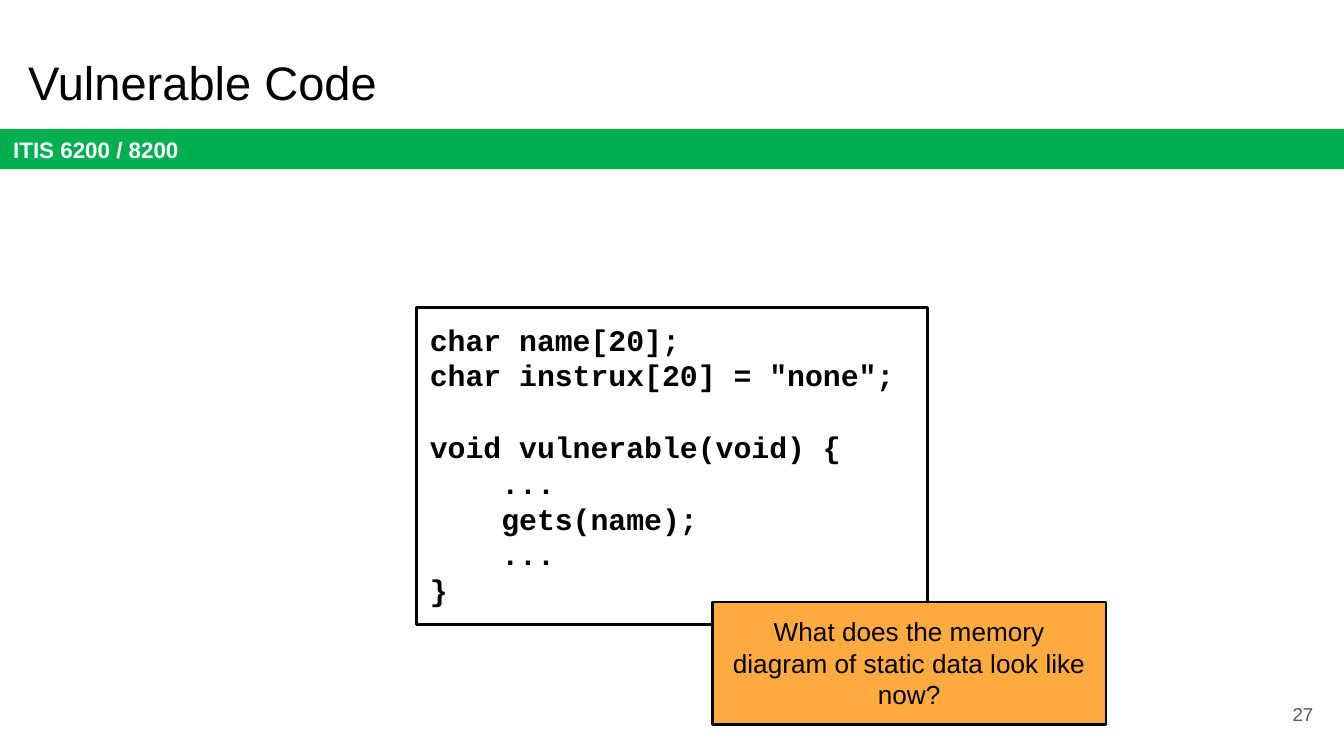
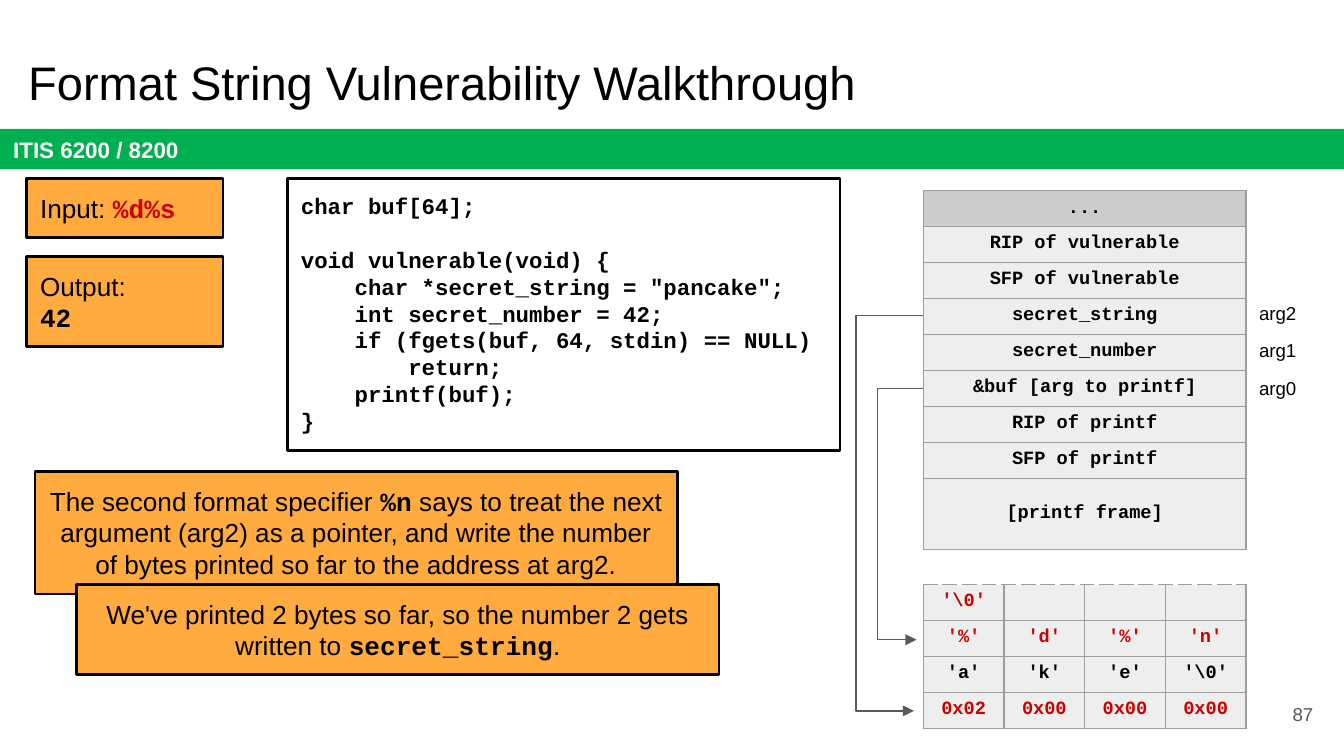
from dataclasses import dataclass
from typing import NamedTuple, Optional

import pptx
import pptx.dml.color
import pptx.enum.shapes
import pptx.enum.text
import pptx.oxml.ns
import pptx.util
from lxml import etree

Inches = pptx.util.Inches
ALIGN = pptx.enum.text.PP_ALIGN
ANCHOR = pptx.enum.text.MSO_ANCHOR
SIZING = pptx.enum.text.MSO_AUTO_SIZE
RECT = pptx.enum.shapes.MSO_SHAPE.RECTANGLE
qn = pptx.oxml.ns.qn

BLACK, WHITE, GREEN, ORANGE = "000000", "FFFFFF", "00B050", "FFAB40"
RED, GREY, RULE, CELL, DARK = "CC0000", "595959", "9E9E9E", "EEEEEE", "CCCCCC"
SANS, MONO = "Arial", "Courier New"
COL = 0.6
STACK_LEFT = 6.87


class Run(NamedTuple):
    text: str
    color: str = BLACK
    font: str = SANS
    bold: bool = False


@dataclass
class Box:
    at: tuple[float, float, float, float]
    lines: list[list[Run]]
    size: float = 14
    fill: Optional[str] = ORANGE
    line: Optional[str] = BLACK
    align: ALIGN = ALIGN.LEFT
    anchor: ANCHOR = ANCHOR.TOP
    grow: bool = True


@dataclass
class Grid:
    top: float
    height: float
    rows: list[list[Run]]
    units: list[int]
    dashed: bool = False


def rgb(code: str) -> pptx.dml.color.RGBColor:
    return pptx.dml.color.RGBColor.from_string(code)


def code(text: str, color: str = BLACK) -> Run:
    return Run(text, color, MONO, True)


def listing(text: str) -> list[list[Run]]:
    return [[code(row)] if row else [] for row in text.splitlines()]


def write(frame, lines: list[list[Run]], size: float, align: ALIGN) -> None:
    for i, runs in enumerate(lines):
        para = frame.add_paragraph() if i else frame.paragraphs[0]
        para.alignment = align
        for part in runs:
            run = para.add_run()
            run.text = part.text
            font = run.font
            font.size, font.name, font.bold = pptx.util.Pt(size), part.font, part.bold
            font.color.rgb = rgb(part.color)
        if not runs:
            end = etree.SubElement(para._p, qn("a:endParaRPr"), sz=str(size * 100))
            etree.SubElement(end, qn("a:latin"), typeface=MONO)


def inset(frame, anchor: ANCHOR, grow: bool) -> None:
    frame.word_wrap = True
    frame.auto_size = SIZING.SHAPE_TO_FIT_TEXT if grow else SIZING.NONE
    frame.vertical_anchor = anchor
    frame.margin_left = frame.margin_right = Inches(0.1)
    frame.margin_top = frame.margin_bottom = Inches(0.1)


def draw_box(slide, box: Box) -> None:
    place = [Inches(n) for n in box.at]
    if box.fill:
        shape = slide.shapes.add_shape(RECT, *place)
        shape.shadow.inherit = False
        shape.fill.solid()
        shape.fill.fore_color.rgb = rgb(box.fill)
        if box.line:
            shape.line.color.rgb = rgb(box.line)
            shape.line.width = pptx.util.Pt(1.5)
        else:
            shape.line.fill.background()
    else:
        shape = slide.shapes.add_textbox(*place)
    inset(shape.text_frame, box.anchor, box.grow)
    write(shape.text_frame, box.lines, box.size, box.align)


def rule_cell(cell, dashed: bool) -> None:
    """Add the four borders of a cell, with a dashed top if asked."""
    props = cell._tc.get_or_add_tcPr()
    for side in "LRTB":
        line = etree.SubElement(props, qn(f"a:ln{side}"), w=str(pptx.util.Pt(0.75)))
        fill = etree.SubElement(line, qn("a:solidFill"))
        etree.SubElement(fill, qn("a:srgbClr"), val=RULE)
        style = "dash" if dashed and side == "T" else "solid"
        etree.SubElement(line, qn("a:prstDash"), val=style)


def draw_grid(slide, grid: Grid) -> None:
    unit = Inches(grid.height) // sum(grid.units)
    table = slide.shapes.add_table(
        len(grid.rows), 4, Inches(STACK_LEFT), Inches(grid.top),
        Inches(4 * COL), Inches(grid.height)).table
    table.first_row = table.horz_banding = False
    for col in table.columns:
        col.width = Inches(COL)
    for r, (runs, units) in enumerate(zip(grid.rows, grid.units)):
        table.rows[r].height = unit * units
        if len(runs) == 1:
            table.cell(r, 0).merge(table.cell(r, 3))
        for c in range(4):
            cell = table.cell(r, c)
            rule_cell(cell, grid.dashed and r == 0)
            cell.fill.solid()
            top = len(runs) == 1 and r == 0
            cell.fill.fore_color.rgb = rgb(DARK if top else CELL)
            cell.margin_left = cell.margin_right = Inches(0.05)
            cell.margin_top = cell.margin_bottom = Inches(0.05)
            cell.vertical_anchor = ANCHOR.MIDDLE if units > 1 else ANCHOR.TOP
            text = [runs[c]] if c < len(runs) and runs[c].text else []
            write(cell.text_frame, [text], 10, ALIGN.CENTER)


def draw_link(slide, start: float, bend: float, stop: float, tip: float) -> None:
    """Run from the stack out to bend, down to stop, and back to tip."""
    spots = [(bend, start), (bend, stop), (tip, stop)]
    pen = slide.shapes.build_freeform(Inches(STACK_LEFT), Inches(start))
    pen.add_line_segments([(Inches(x), Inches(y)) for x, y in spots], close=False)
    link = pen.convert_to_shape()
    link.shadow.inherit = False
    link.fill.background()
    link.line.color.rgb = rgb(GREY)
    link.line.width = pptx.util.Pt(0.75)
    etree.SubElement(link.line._get_or_add_ln(), qn("a:tailEnd"), type="triangle")


def add_page(deck, title: str, number: int):
    slide = deck.slides.add_slide(deck.slide_layouts[5])
    head = slide.shapes.title
    head.left, head.top = Inches(0.11), Inches(0.3)
    head.width, head.height = Inches(9.32), Inches(0.63)
    inset(head.text_frame, ANCHOR.TOP, False)
    write(head.text_frame, [[Run(title)]], 25.2, ALIGN.LEFT)
    band = Run("ITIS 6200 / 8200", WHITE, bold=True)
    draw_box(slide, Box((0, 0.96, 10, 0.3), [[band]], 12, GREEN, None,
                        anchor=ANCHOR.MIDDLE, grow=False))
    draw_box(slide, Box((9.27, 5.1, 0.6, 0.43), [[Run(str(number), GREY)]], 10,
                        None, None, ALIGN.RIGHT, ANCHOR.MIDDLE, False))
    return slide


STATIC = '''char name[20];
char instrux[20] = "none";

void vulnerable(void) {
    ...
    gets(name);
    ...
}'''

FORMAT = '''char buf[64];

void vulnerable(void) {
    char *secret_string = "pancake";
    int secret_number = 42;
    if (fgets(buf, 64, stdin) == NULL)
        return;
    printf(buf);
}'''

STACK = ["...", "RIP of vulnerable", "SFP of vulnerable", "secret_string",
         "secret_number", "&buf [arg to printf]", "RIP of printf",
         "SFP of printf", "[printf frame]"]

BYTES = [(RED, ["'\\0'", "", "", ""]),
         (RED, ["'%'", "'d'", "'%'", "'n'"]),
         (BLACK, ["'a'", "'k'", "'e'", "'\\0'"]),
         (RED, ["0x02", "0x00", "0x00", "0x00"])]


def add_static(deck) -> None:
    slide = add_page(deck, "Vulnerable Code", 27)
    draw_box(slide, Box((3.1, 2.29, 3.8, 2.36), listing(STATIC), 16, WHITE))
    ask = Run("What does the memory diagram of static data look like now?")
    draw_box(slide, Box((5.3, 4.48, 2.93, 0.91), [[ask]], align=ALIGN.CENTER))


def add_walk(deck) -> None:
    slide = add_page(deck, "Format String Vulnerability Walkthrough", 87)
    boxes = [
        Box((0.2, 1.33, 1.46, 0.44), [[Run("Input: "), code("%d%s", RED)]]),
        Box((2.14, 1.33, 4.11, 2.02), listing(FORMAT), 12, WHITE),
        Box((0.2, 1.91, 1.46, 0.67), [[Run("Output:")], [code("42")]]),
        Box((0.26, 3.51, 4.78, 0.91), [[
            Run("The second format specifier "), code("%n"),
            Run(" says to treat the next argument (arg2) as a pointer, and write "
                "the number of bytes printed so far to the address at arg2."),
        ]], align=ALIGN.CENTER),
        Box((0.57, 4.35, 4.78, 0.67), [[
            Run("We've printed 2 bytes so far, so the number 2 gets written to "),
            code("secret_string"), Run("."),
        ]], align=ALIGN.CENTER),
    ]
    for i, label in enumerate(["arg2", "arg1", "arg0"]):
        boxes.append(Box((9.27, 2.16 + 0.28 * i, 0.56, 0.37), [[Run(label)]],
                         10, None, None))
    for box in boxes:
        draw_box(slide, box)
    draw_link(slide, 2.35, 6.37, 5.29, 6.8)
    draw_grid(slide, Grid(1.42, 2.66, [[code(name)] for name in STACK], [1] * 8 + [2]))
    draw_link(slide, 2.89, 6.53, 4.76, 6.82)
    cells = [[code(text, color) for text in row] for color, row in BYTES]
    draw_grid(slide, Grid(4.35, 1.07, cells, [1] * 4, True))


def main() -> None:
    deck = pptx.Presentation()
    deck.slide_width = Inches(10)
    deck.slide_height = deck.slide_width * 9 // 16
    add_static(deck)
    add_walk(deck)
    deck.save("out.pptx")


if __name__ == "__main__":
    main()
